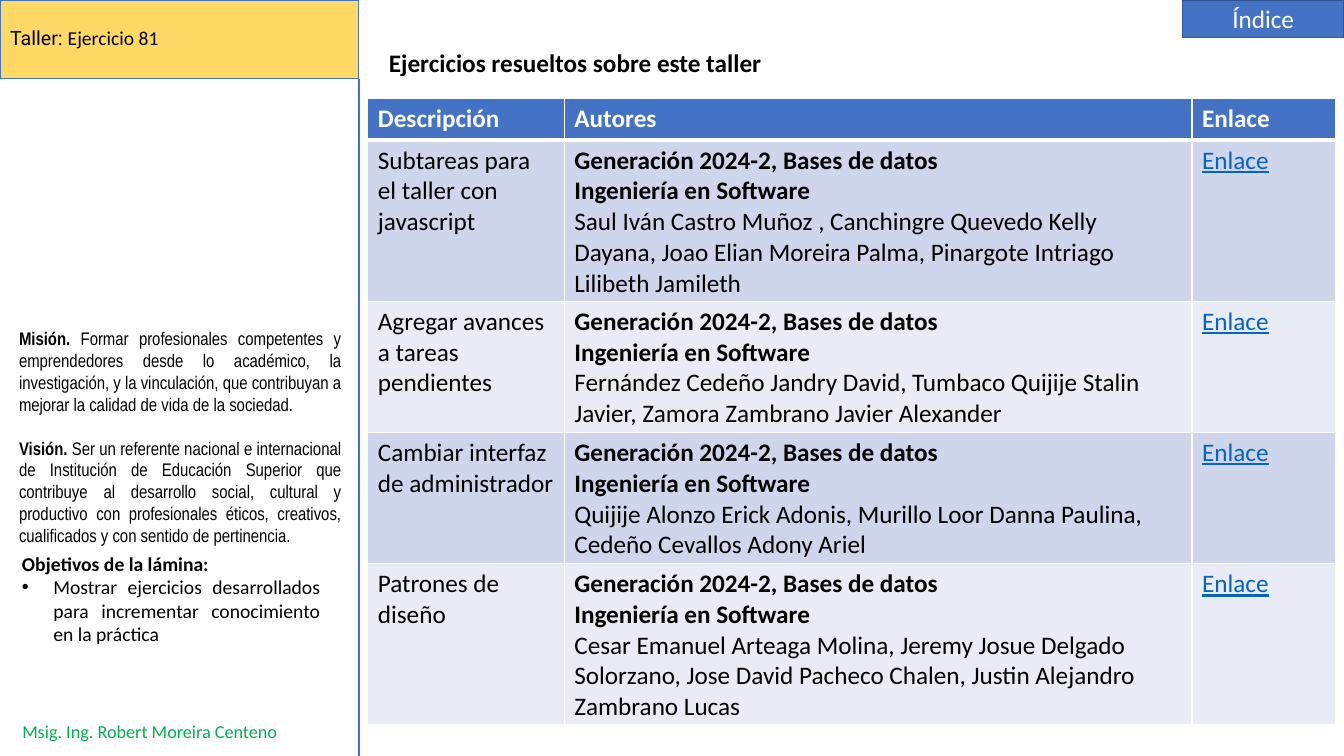
from lxml import etree
from pptx import Presentation
from pptx import util as u
from pptx.dml.color import RGBColor
from pptx.enum import shapes, text
from pptx.oxml import ns

TITLE = [("Taller: ", "Roboto"), ("Ejercicio 81", "Calibri")]
OBJECTIVES = [
    "Objetivos de la lámina:",
    "Mostrar ejercicios desarrollados para incrementar conocimiento en la práctica",
]
STATEMENTS = [
    ("Misión. ", "Formar profesionales competentes y emprendedores desde lo académico, "
     "la investigación, y la vinculación, que contribuyan a mejorar la calidad de vida "
     "de la sociedad."),
    ("Visión. ", "Ser un referente nacional e internacional de Institución de Educación "
     "Superior que contribuye al desarrollo social, cultural y productivo con "
     "profesionales éticos, creativos, cualificados y con sentido de pertinencia."),
]
TEACHER = "Msig. Ing. Robert Moreira Centeno"
HEADING = "Ejercicios resueltos sobre este taller"
INDEX = "Índice"
HEADERS = ["Descripción", "Autores", "Enlace"]
GROUP = ["Generación 2024-2, Bases de datos", "Ingeniería en Software"]
LINK = "Enlace"
# description, authors, row height in cm
EXERCISES = [
    ("Subtareas para el taller con javascript",
     "Saul Iván Castro Muñoz , Canchingre Quevedo Kelly Dayana, Joao Elian Moreira Palma, "
     "Pinargote Intriago Lilibeth Jamileth", 4.06),
    ("Agregar avances a tareas pendientes",
     "Fernández Cedeño Jandry David, Tumbaco Quijije Stalin Javier, "
     "Zamora Zambrano Javier Alexander", 3.3),
    ("Cambiar interfaz de administrador",
     "Quijije Alonzo Erick Adonis, Murillo Loor Danna Paulina, "
     "Cedeño Cevallos Adony Ariel", 3.3),
    ("Patrones de diseño",
     "Cesar Emanuel Arteaga Molina, Jeremy Josue Delgado Solorzano, "
     "Jose David Pacheco Chalen, Justin Alejandro Zambrano Lucas", 4.06),
]
COLUMN_WIDTHS = [4.95, 15.82, 3.62]
HEADER_HEIGHT = 1.04
SIDEBAR_WIDTH, TITLE_HEIGHT = 9.04, 1.98
SLIDE_WIDTH, SLIDE_HEIGHT = 33.87, 19.05
BLUE, WHITE, BLACK = "4472C4", "FFFFFF", "000000"
BANDS = ["CFD5EA", "E9EBF5"]


def color(value):
    return RGBColor.from_string(value)


def place(shape, left, top, width, height):
    shape.left, shape.top = u.Cm(left), u.Cm(top)
    shape.width, shape.height = u.Cm(width), u.Cm(height)


def paint(shape, fill, line):
    shape.fill.solid()
    shape.fill.fore_color.rgb = color(fill)
    shape.line.color.rgb = color(line)
    shape.line.width = u.Pt(1)


def add_run(paragraph, words, size=18, bold=False, ink=BLACK, font="Calibri"):
    run = paragraph.add_run()
    run.text = words
    run.font.name, run.font.size, run.font.bold = font, u.Pt(size), bold
    run.font.color.rgb = color(ink)
    return run


def next_paragraph(frame, index):
    return frame.add_paragraph() if index else frame.paragraphs[0]


def add_text_box(slide, left, top, width, height, wrap=True):
    frame = slide.shapes.add_textbox(*map(u.Cm, (left, top, width, height))).text_frame
    frame.word_wrap = wrap
    return frame


def set_bullet(paragraph, indent, character=None):
    properties = paragraph._p.get_or_add_pPr()
    properties.set("marL", str(u.Cm(indent)))
    properties.set("indent", str(-u.Cm(indent)))
    if character:
        font = etree.SubElement(properties, ns.qn("a:buFont"))
        font.set("typeface", "Arial")
        etree.SubElement(properties, ns.qn("a:buChar")).set("char", character)
    else:
        etree.SubElement(properties, ns.qn("a:buNone"))


def style_cell(cell, fill, bottom=1):
    """Give the cell white borders, then its fill."""
    properties = cell._tc.get_or_add_tcPr()
    for side, width in (("L", 1), ("R", 1), ("T", 1), ("B", bottom)):
        border = etree.SubElement(properties, ns.qn("a:ln" + side))
        border.set("w", str(u.Pt(width)))
        solid = etree.SubElement(border, ns.qn("a:solidFill"))
        etree.SubElement(solid, ns.qn("a:srgbClr")).set("val", WHITE)
    cell.fill.solid()
    cell.fill.fore_color.rgb = color(fill)


def add_sidebar(slide):
    title = slide.shapes.title
    place(title, 0, 0, SIDEBAR_WIDTH, TITLE_HEIGHT)
    paint(title, "FFD966", BLUE)
    title.text_frame.vertical_anchor = text.MSO_ANCHOR.MIDDLE
    paragraph = title.text_frame.paragraphs[0]
    paragraph.alignment = text.PP_ALIGN.LEFT
    paragraph.line_spacing = 0.9
    for words, font in TITLE:
        add_run(paragraph, words, 14, font=font)

    edge = slide.shapes.add_connector(
        shapes.MSO_CONNECTOR.STRAIGHT, u.Cm(SIDEBAR_WIDTH), u.Cm(TITLE_HEIGHT),
        u.Cm(SIDEBAR_WIDTH), u.Cm(SLIDE_HEIGHT))
    edge.line.color.rgb = color(BLUE)
    edge.line.width = u.Pt(1.5)
    etree.SubElement(edge._element.spPr, ns.qn("a:effectLst"))

    objectives = slide.placeholders[1]
    place(objectives, 0.3, 13.77, 8.03, 2.64)
    objectives.text_frame.auto_size = text.MSO_AUTO_SIZE.NONE
    for index, words in enumerate(OBJECTIVES):
        paragraph = next_paragraph(objectives.text_frame, index)
        set_bullet(paragraph, 0.79 if index else 0, "•" if index else None)
        paragraph.alignment = text.PP_ALIGN.JUSTIFY
        paragraph.space_before = u.Pt(0)
        add_run(paragraph, words, 14, bold=index == 0)

    frame = add_text_box(slide, 0.23, 8.13, 8.61, 5.82)
    for index, (name, statement) in enumerate(STATEMENTS):
        paragraph = next_paragraph(frame, index)
        paragraph.alignment = text.PP_ALIGN.JUSTIFY
        if index:
            paragraph.space_before = u.Pt(15.6)
        add_run(paragraph, name, 13, True, font="Arial Narrow")
        add_run(paragraph, statement, 13, font="Arial Narrow")

    paragraph = add_text_box(slide, 0.25, 18.03, 7.04, 0.81, wrap=False).paragraphs[0]
    paragraph.alignment = text.PP_ALIGN.CENTER
    add_run(paragraph, TEACHER, 13, ink="00B050")


def add_index_button(slide):
    width = 4.07
    button = slide.shapes.add_shape(
        shapes.MSO_SHAPE.ACTION_BUTTON_CUSTOM, u.Cm(SLIDE_WIDTH - width), 0,
        u.Cm(width), u.Cm(0.94))
    button.shadow.inherit = False
    paint(button, BLUE, "325491")
    button.text_frame.vertical_anchor = text.MSO_ANCHOR.MIDDLE
    paragraph = button.text_frame.paragraphs[0]
    paragraph.alignment = text.PP_ALIGN.CENTER
    add_run(paragraph, INDEX, ink=WHITE)


def add_exercise_table(slide):
    heights = [HEADER_HEIGHT] + [height for *_, height in EXERCISES]
    table = slide.shapes.add_table(
        len(heights), len(HEADERS), u.Cm(9.27), u.Cm(2.49),
        u.Cm(sum(COLUMN_WIDTHS)), u.Cm(sum(heights))).table
    for column, width in zip(table.columns, COLUMN_WIDTHS):
        column.width = u.Cm(width)
    for row, height in zip(table.rows, heights):
        row.height = u.Cm(height)

    for cell, words in zip(table.rows[0].cells, HEADERS):
        style_cell(cell, BLUE, bottom=3)
        add_run(cell.text_frame.paragraphs[0], words, bold=True, ink=WHITE)
    for index, (description, authors, _) in enumerate(EXERCISES):
        cells = list(table.rows[index + 1].cells)
        for cell in cells:
            style_cell(cell, BANDS[index % 2])
        add_run(cells[0].text_frame.paragraphs[0], description)
        for line, words in enumerate(GROUP + [authors]):
            add_run(next_paragraph(cells[1].text_frame, line), words, bold=line < len(GROUP))
        link = add_run(cells[2].text_frame.paragraphs[0], LINK, ink="0563C1")
        link.font.underline = True


def main():
    presentation = Presentation()
    presentation.slide_width, presentation.slide_height = u.Cm(SLIDE_WIDTH), u.Cm(SLIDE_HEIGHT)
    slide = presentation.slides.add_slide(presentation.slide_layouts[1])
    add_sidebar(slide)
    heading = add_text_box(slide, 9.55, 1.07, 20.24, 1.02)
    add_run(heading.paragraphs[0], HEADING, bold=True)
    add_index_button(slide)
    add_exercise_table(slide)
    presentation.save("out.pptx")


if __name__ == "__main__":
    main()
